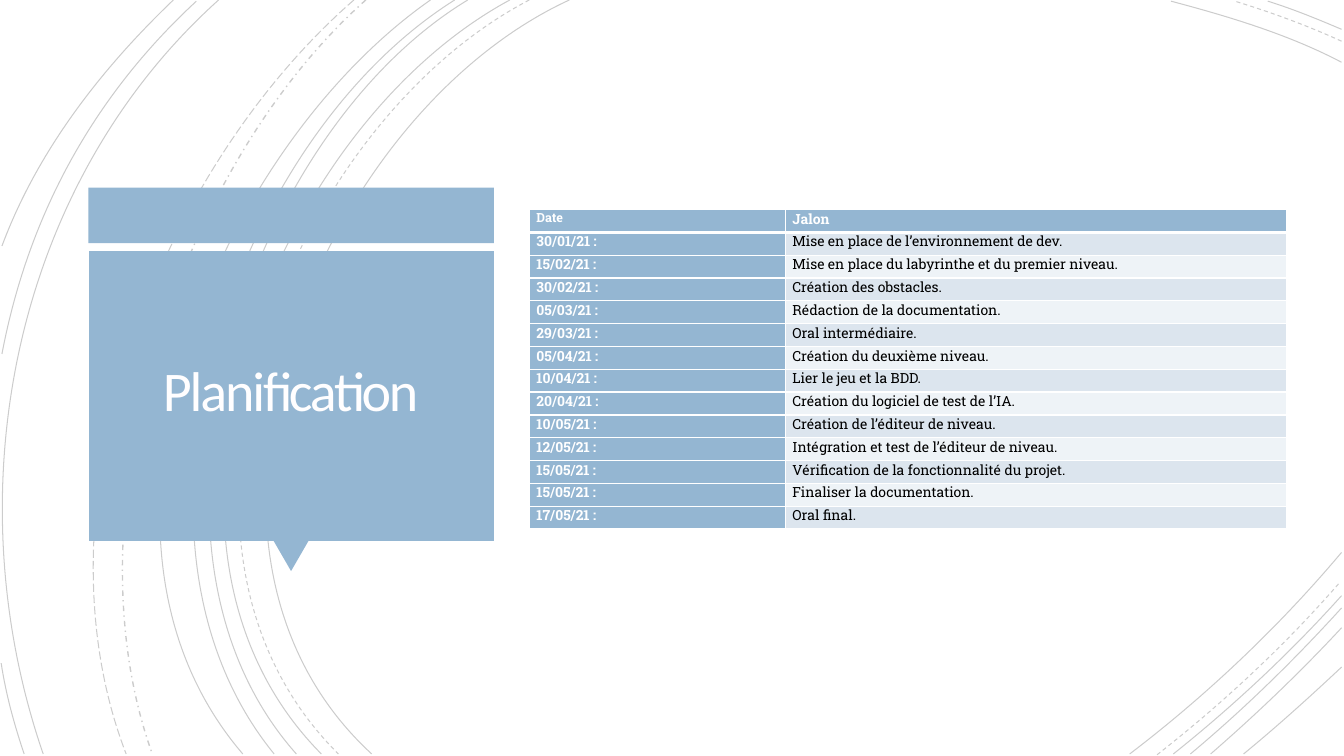
from lxml.etree import SubElement
from pptx import Presentation
from pptx.dml.color import RGBColor
from pptx.enum.dml import MSO_LINE_DASH_STYLE as Dash
from pptx.enum.shapes import MSO_SHAPE as Shape
from pptx.enum.text import MSO_ANCHOR as Anchor, PP_ALIGN as Align
from pptx.oxml.ns import qn
from pptx.util import Cm, Pt

BLUE = RGBColor(0x94, 0xB6, 0xD2)
BAND_DARK = RGBColor(0xDC, 0xE5, 0xEE)
BAND_LIGHT = RGBColor(0xEE, 0xF3, 0xF7)
WHITE = RGBColor(0xFF, 0xFF, 0xFF)
TITLE_WHITE = RGBColor(0xFF, 0xFE, 0xFF)
BLACK = RGBColor(0, 0, 0)


def write(tf, text, font="Roboto Slab", size=10, color=BLACK, bold=False,
          align=Align.LEFT, line_spacing=None, tracking=None):
    p = tf.paragraphs[0]
    p.alignment = align
    if line_spacing:
        p.line_spacing = line_spacing
    r = p.add_run()
    r.text = text
    r.font.name = font
    r.font.size = Pt(size)
    r.font.bold = bold
    r.font.color.rgb = color
    if tracking:
        r._r.get_or_add_rPr().set("spc", str(tracking))


def add_border(cell, side, width):
    ln = SubElement(cell._tc.get_or_add_tcPr(), qn(f"a:{side}"), w=str(Pt(width)))
    fill = SubElement(ln, qn("a:solidFill"))
    SubElement(fill, qn("a:srgbClr"), val=str(WHITE))


prs = Presentation()
prs.slide_width, prs.slide_height = Cm(33.87), Cm(19.05)
s = prs.slides.add_slide(prs.slide_layouts[6])

arcs = [
    ((14.35, 0), (8, 2.92), (3.63, 13.72), (9.37, 19), Dash.SOLID),
    ((33.81, 1.57), (32.46, 0.86), (30.94, 0.41), (29.51, 0.03), Dash.SOLID),
    ((28.47, 19), (30.4, 17.53), (32.23, 15.8), (33.81, 13.92), Dash.SOLID),
    ((13.34, 0), (7.24, 3.18), (3.12, 13.64), (8.53, 19), Dash.DASH),
    ((33.81, 1.04), (32.94, 0.64), (32, 0.3), (31.12, 0.03), Dash.DASH),
    ((29.16, 19.02), (30.81, 17.73), (32.39, 16.26), (33.78, 14.66), Dash.DASH),
    ((12.85, 0), (6.86, 3.23), (2.79, 13.64), (8.1, 19), Dash.SOLID),
    ((33.81, 0.74), (33.2, 0.48), (32.59, 0.23), (31.95, 0.03), Dash.SOLID),
    ((29.57, 19), (31.06, 17.81), (32.51, 16.46), (33.81, 15.01), Dash.SOLID),
    ((11.79, 0), (6.2, 3.38), (2.79, 13.74), (7.47, 19), Dash.SOLID),
    ((30, 19), (31.34, 17.88), (32.61, 16.64), (33.81, 15.32), Dash.SOLID),
    ((11.46, 0), (5.87, 3.51), (2.46, 13.54), (6.91, 19), Dash.SOLID),
    ((30.51, 19), (31.65, 18.01), (32.77, 16.94), (33.81, 15.82), Dash.SOLID),
    ((10.85, 0), (5.51, 3.73), (1.35, 13.44), (6.12, 19), Dash.SOLID),
    ((31.34, 19), (32.18, 18.31), (32.99, 17.58), (33.81, 16.81), Dash.SOLID),
    ((9.22, 0), (4.47, 4.22), (1.65, 12.93), (3.84, 19), Dash.DASH_DOT),
    ((8.92, 0), (3.99, 4.29), (0.74, 12.67), (3.18, 19), Dash.LONG_DASH),
    ((5.51, 0), (0.28, 4.7), (-1.17, 12.45), (1.09, 19), Dash.SOLID),
    ((4.95, 0.03), (2.34, 2.44), (0.71, 5.44), (0.05, 8.92), Dash.SOLID),
    ((0.03, 16.71), (0.15, 17.5), (0.36, 18.26), (0.61, 19), Dash.SOLID),
    ((4.37, 0), (2.54, 1.75), (0.94, 3.81), (0.05, 6.2), Dash.SOLID),
]
for *points, dash in arcs:
    start, *controls = [(Cm(x), Cm(y)) for x, y in points]
    builder = s.shapes.build_freeform(*start)
    builder.add_line_segments(controls, close=False)
    sp = builder.convert_to_shape()
    outline = sp._element.find(".//" + qn("a:path"))
    segments = outline.findall(qn("a:lnTo"))
    curve = SubElement(outline, qn("a:cubicBezTo"))
    for segment in segments:
        curve.append(segment[0])
        outline.remove(segment)
    sp.shadow.inherit = False
    sp.fill.background()
    sp.line.color.rgb = BLACK
    sp.line.width = Pt(1 if dash == Dash.DASH_DOT else 0.75)
    sp.line.dash_style = dash
    SubElement(sp._element.find(".//" + qn("a:srgbClr")), qn("a:alpha"), val="20000")

title_blocks = [
    (Shape.RECTANGLE, 2.23, 4.73, 10.22, 1.4, 0),
    (Shape.ISOSCELES_TRIANGLE, 6.89, 13.62, 0.89, 0.77, 180),
    (Shape.RECTANGLE, 2.25, 6.33, 10.2, 7.3, 0),
]
for kind, left, top, width, height, rotation in title_blocks:
    sp = s.shapes.add_shape(kind, Cm(left), Cm(top), Cm(width), Cm(height))
    sp.rotation = rotation
    sp.shadow.inherit = False
    sp.fill.solid()
    sp.fill.fore_color.rgb = BLUE
    sp.line.fill.background()

tf = s.shapes.add_textbox(Cm(2.46), Cm(6.53), Cm(9.73), Cm(6.83)).text_frame
tf.word_wrap = True
tf.vertical_anchor = Anchor.MIDDLE
tf.margin_left = tf.margin_right = tf.margin_top = tf.margin_bottom = Cm(0.64)
write(tf, "Planification", font="Calibri", size=40, color=TITLE_WHITE,
      align=Align.CENTER, line_spacing=0.85, tracking=-150)

milestones = [
    ("30/01/21", "Mise en place de l’environnement de dev."),
    ("15/02/21", "Mise en place du labyrinthe et du premier niveau."),
    ("30/02/21", "Création des obstacles."),
    ("05/03/21", "Rédaction de la documentation."),
    ("29/03/21", "Oral intermédiaire."),
    ("05/04/21", "Création du deuxième niveau."),
    ("10/04/21", "Lier le jeu et la BDD."),
    ("20/04/21", "Création du logiciel de test de l’IA."),
    ("10/05/21", "Création de l’éditeur de niveau."),
    ("12/05/21", "Intégration et test de l’éditeur de niveau."),
    ("15/05/21", "Vérification de la fonctionnalité du projet."),
    ("15/05/21", "Finaliser la documentation."),
    ("17/05/21", "Oral final."),
]
rows = [("Date", "Jalon")] + [(f"{date}\u00a0:", goal) for date, goal in milestones]
table = s.shapes.add_table(len(rows), 2, Cm(13.34), Cm(5.28), Cm(19.08), Cm(8.05)).table
table.columns[0].width = Cm(6.45)
table.columns[1].width = Cm(12.63)
for i, row in enumerate(rows):
    for j, text in enumerate(row):
        cell = table.cell(i, j)
        cell.margin_left = cell.margin_right = Cm(0.18)
        cell.margin_top = cell.margin_bottom = 0
        heading = i == 0 or j == 0
        write(cell.text_frame, text, size=9 if i == j == 0 else 10,
              color=WHITE if heading else BLACK, bold=heading)
        add_border(cell, "lnL", 1)
        add_border(cell, "lnR", 1)
        add_border(cell, "lnT", 3 if i == 1 else 1)
        add_border(cell, "lnB", 3 if i == 0 else 1)
        cell.fill.solid()
        cell.fill.fore_color.rgb = BLUE if heading else BAND_DARK if i % 2 else BAND_LIGHT

prs.save("out.pptx")
